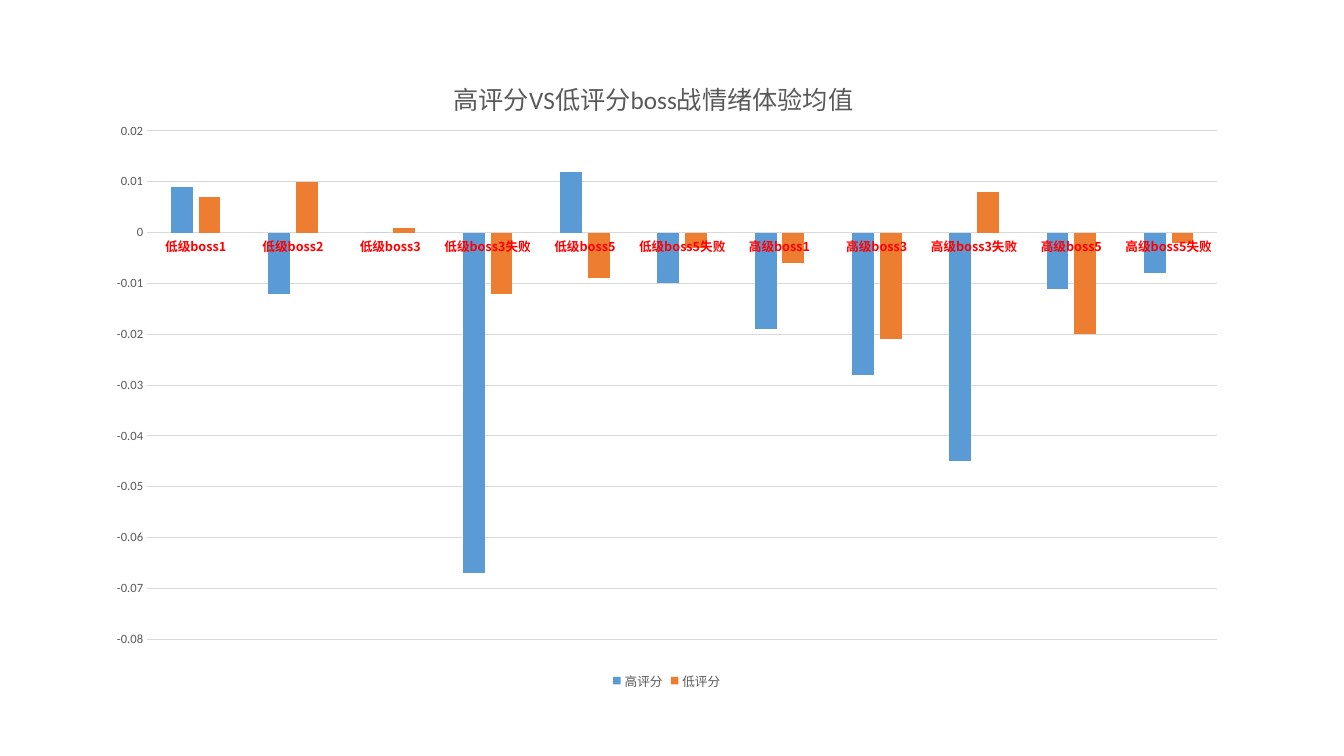
from pptx import Presentation
from pptx import oxml
from pptx.chart import data
from pptx.dml.color import RGBColor
from pptx.enum import chart as ch
from pptx.oxml import ns
from pptx.util import Pt

COLORS = {
    "background": "FFFFFF",
    "high": "5B9BD5",
    "low": "ED7D31",
    "text": "595959",
    "category": "FF0000",
    "grid": "D9D9D9",
}
LATIN, CHINESE = "Calibri", "Noto Sans CJK SC"
HEADING = "高评分VS低评分boss战情绪体验均值"
STAGES = [
    "低级boss1", "低级boss2", "低级boss3", "低级boss3失败",
    "低级boss5", "低级boss5失败", "高级boss1", "高级boss3",
    "高级boss3失败", "高级boss5", "高级boss5失败",
]
RATINGS = {
    "高评分": ("high", [0.009, -0.012, 0, -0.067, 0.012, -0.01,
                     -0.019, -0.028, -0.045, -0.011, -0.008]),
    "低评分": ("low", [0.007, 0.01, 0.001, -0.012, -0.009, -0.003,
                    -0.006, -0.021, 0.008, -0.02, -0.002]),
}


def rgb(key):
    return RGBColor.from_string(COLORS[key])


def apply(target, values):
    for attribute, value in values.items():
        setattr(target, attribute, value)


def style_font(font, size, color="text", bold=False, name=LATIN):
    apply(font, {"size": Pt(size), "bold": bold, "name": name})
    font.color.rgb = rgb(color)
    latin = font._rPr.find(ns.qn("a:latin"))
    latin.addnext(oxml.parse_xml(
        f'<a:ea {ns.nsdecls("a")} typeface="{CHINESE}"/>'))


def style_line(line, color="grid"):
    line.width = Pt(0.75)
    line.color.rgb = rgb(color)


def make_layout(settings):
    entries = "".join(f'<c:{key} val="{value}"/>' for key, value in settings.items())
    return oxml.parse_xml(
        f'<c:layout {ns.nsdecls("c")}><c:manualLayout>{entries}'
        '</c:manualLayout></c:layout>')


def clear_layout(parent):
    for layout in parent.findall(ns.qn("c:layout")):
        parent.remove(layout)


def add_heading(chart):
    chart.has_title = True
    heading = chart.chart_title
    heading.include_in_layout = False
    heading.text_frame.text = HEADING
    style_font(heading.text_frame.paragraphs[0].runs[0].font, 18)
    element = heading._element
    clear_layout(element)
    element.find(ns.qn("c:tx")).addnext(make_layout(
        {"xMode": "edge", "yMode": "edge", "x": 0.31, "y": 0.04}))


def style_axes(chart):
    stage_axis, score_axis = chart.category_axis, chart.value_axis
    no_ticks = {"major_tick_mark": ch.XL_TICK_MARK.NONE,
                "minor_tick_mark": ch.XL_TICK_MARK.NONE}
    apply(stage_axis, {**no_ticks, "has_major_gridlines": False,
                       "tick_label_position": ch.XL_TICK_LABEL_POSITION.NEXT_TO_AXIS})
    apply(score_axis, {**no_ticks, "has_major_gridlines": True,
                       "minimum_scale": -0.08, "maximum_scale": 0.02,
                       "major_unit": 0.01})
    apply(score_axis.tick_labels, {"number_format": "General",
                                   "number_format_is_linked": False})
    style_font(stage_axis.tick_labels.font, 9, "category", True, CHINESE)
    style_font(score_axis.tick_labels.font, 9)
    style_line(stage_axis.format.line)
    style_line(score_axis.major_gridlines.format.line)
    score_axis.format.line.fill.background()


def style_columns(chart):
    columns = chart.plots[0]
    apply(columns, {"gap_width": 219, "overlap": -27, "vary_by_categories": False})
    for rating in columns.series:
        rating.invert_if_negative = False
        rating.format.fill.solid()
        rating.format.fill.fore_color.rgb = rgb(RATINGS[rating.name][0])
    plot_area = chart._chartSpace.chart.plotArea
    clear_layout(plot_area)
    plot_area.insert(0, make_layout(
        {"layoutTarget": "inner", "xMode": "edge", "yMode": "edge",
         "x": 0.0465, "y": 0.131, "w": 0.934, "h": 0.785}))


def add_emotion_chart(slide, left, top, width, height):
    scores = data.CategoryChartData(number_format="General")
    scores.categories = STAGES
    for name, (_, values) in RATINGS.items():
        scores.add_series(name, values)
    chart = slide.shapes.add_chart(
        ch.XL_CHART_TYPE.COLUMN_CLUSTERED,
        Pt(left), Pt(top), Pt(width), Pt(height), scores).chart
    style_font(chart.font, 10)
    add_heading(chart)
    style_axes(chart)
    style_columns(chart)
    chart.has_legend = True
    apply(chart.legend, {"position": ch.XL_LEGEND_POSITION.BOTTOM,
                         "include_in_layout": False})
    style_font(chart.legend.font, 9)


def main():
    deck = Presentation()
    apply(deck, {"slide_width": Pt(960), "slide_height": Pt(540)})
    slide = deck.slides.add_slide(deck.slide_layouts[6])
    slide.background.fill.solid()
    slide.background.fill.fore_color.rgb = rgb("background")
    add_emotion_chart(slide, 67, 33, 818.5, 462.5)
    deck.save("out.pptx")


if __name__ == "__main__":
    main()
